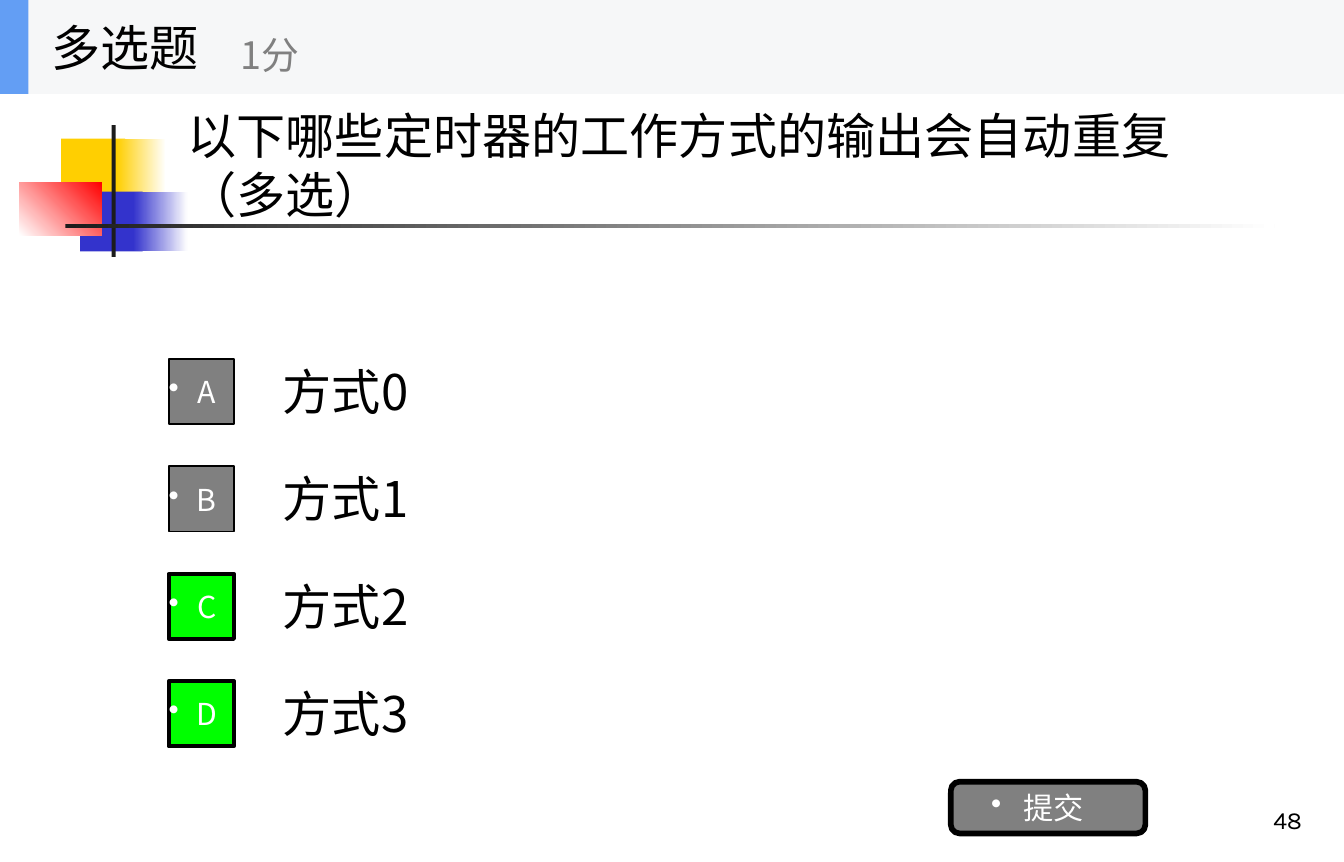
import lxml.etree
import pptx
import pptx.dml.color
import pptx.enum.shapes
import pptx.enum.text
import pptx.oxml.ns
import pptx.util

RGB = pptx.dml.color.RGBColor
WHITE = RGB(0xFF, 0xFF, 0xFF)
BLACK = RGB(0x00, 0x00, 0x00)
INK = RGB(0x1C, 0x1C, 0x1C)
GRAY = RGB(0x80, 0x80, 0x80)
GREEN = RGB(0x00, 0xFF, 0x00)
GOLD = RGB(0xFF, 0xCF, 0x01)
NAVY = RGB(0x33, 0x33, 0xCC)
RED = RGB(0xFF, 0x00, 0x00)
HEADER = RGB(0xF6, 0xF7, 0xF8)
ACCENT = RGB(0x63, 0x9E, 0xF4)

COLUMNS, ROWS = 988, 634
ALIGN = pptx.enum.text.PP_ALIGN
ANCHOR = pptx.enum.text.MSO_ANCHOR
SHAPE = pptx.enum.shapes.MSO_SHAPE


def write(frame, text, size=26, color=BLACK, font="Noto Sans CJK SC",
          align=ALIGN.LEFT, anchor=ANCHOR.MIDDLE, bullet=None):
    frame.word_wrap = True
    frame.vertical_anchor = anchor
    paragraph = frame.paragraphs[0]
    paragraph.alignment = align
    if bullet:
        properties = paragraph._p.get_or_add_pPr()
        lxml.etree.SubElement(properties, pptx.oxml.ns.qn("a:buChar"), char=bullet)
    run = paragraph.add_run()
    run.text = text
    run.font.size = pptx.util.Pt(size)
    run.font.color.rgb = color
    run.font.name = font
    lxml.etree.SubElement(run.font._element, pptx.oxml.ns.qn("a:ea"), typeface=font)


class QuizSlide:
    """Draws the parts of a quiz slide on a grid of columns and rows."""

    def __init__(self, deck):
        self.column = deck.slide_width / COLUMNS
        self.row = deck.slide_height / ROWS
        self.slide = deck.slides.add_slide(deck.slide_layouts[6])

    def place(self, left, top, width, height):
        return (round(left * self.column), round(top * self.row),
                round(width * self.column), round(height * self.row))

    def block(self, area, color, kind=SHAPE.RECTANGLE):
        block = self.slide.shapes.add_shape(kind, *self.place(*area))
        block.shadow.inherit = False
        block.fill.solid()
        block.fill.fore_color.rgb = color
        block.line.fill.background()
        return block

    def fade(self, area, start, end, angle=0):
        fill = self.block(area, start).fill
        fill.gradient()
        fill.gradient_angle = angle
        for stop, color in zip(fill.gradient_stops, (start, end)):
            stop.color.rgb = color

    def label(self, area, text, **style):
        box = self.slide.shapes.add_textbox(*self.place(*area))
        write(box.text_frame, text, **style)

    def button(self, area, text, color, border, kind=SHAPE.RECTANGLE):
        button = self.block(area, color, kind)
        button.line.color.rgb = BLACK
        button.line.width = pptx.util.Pt(border)
        frame = button.text_frame
        frame.margin_left = frame.margin_right = 0
        frame.margin_top = frame.margin_bottom = 0
        write(frame, text, size=16, color=WHITE, align=ALIGN.CENTER, bullet="•")

    def ornament(self):
        self.block((45, 102, 47, 44), GOLD)
        self.fade((86, 102, 36, 44), GOLD, WHITE)
        self.block((59, 141, 46, 44), NAVY)
        self.fade((98, 141, 40, 44), NAVY, WHITE)
        self.fade((14, 134, 61, 39), WHITE, RED, angle=45)
        self.block((82, 92, 3, 97), INK)
        self.fade((48, 165, 889, 3), INK, WHITE)

    def header(self, title, score):
        self.block((0, 0, COLUMNS, 69), HEADER)
        self.block((0, 0, 21, 69), ACCENT)
        self.label((28, 0, 208, 69), title)
        self.label((167, 12, 250, 56), score, size=20, color=GRAY)

    def choices(self, choices, top=258, step=79):
        for index, (letter, answer, correct) in enumerate(choices):
            row = top + index * step
            color, border = (GREEN, 2) if correct else (GRAY, 1)
            self.label((198, row, 692, 59), answer)
            self.button((124, row + 6, 48, 48), letter, color, border)


def main():
    deck = pptx.Presentation()
    deck.slide_width = pptx.util.Inches(9.88)
    deck.slide_height = pptx.util.Inches(6.34)
    quiz = QuizSlide(deck)
    quiz.ornament()
    quiz.label((761, 577, 206, 42), "48", size=13, font="Karla",
               align=ALIGN.RIGHT, anchor=ANCHOR.BOTTOM)
    quiz.label((128, 22, 791, 198), "以下哪些定时器的工作方式的输出会自动重复（多选）")
    quiz.choices([("A", "方式0", False), ("B", "方式1", False),
                  ("C", "方式2", True), ("D", "方式3", True)])
    quiz.button((699, 575, 143, 38), "提交", GRAY, 3, SHAPE.ROUNDED_RECTANGLE)
    quiz.header("多选题", "1分")
    deck.save("out.pptx")


if __name__ == "__main__":
    main()
